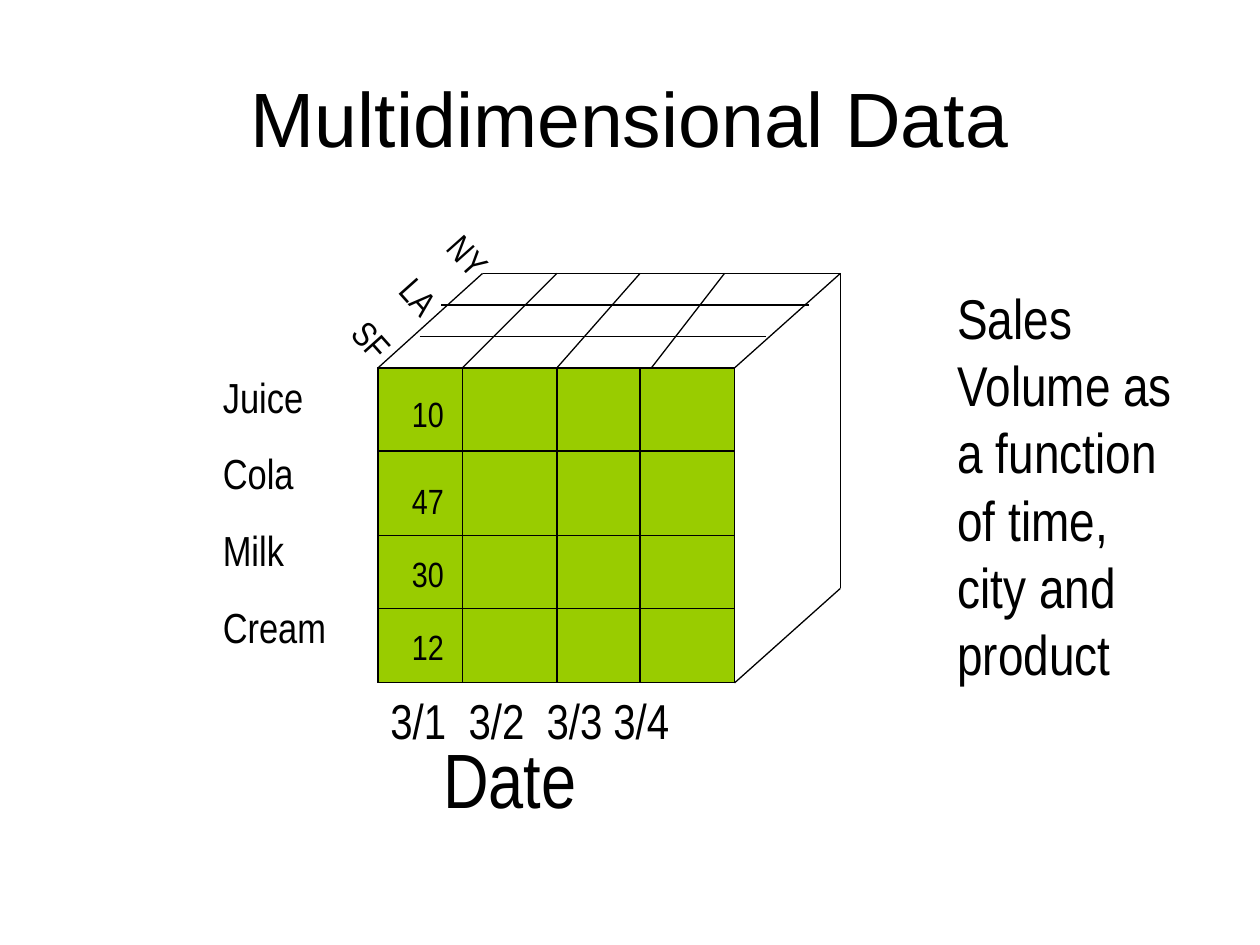
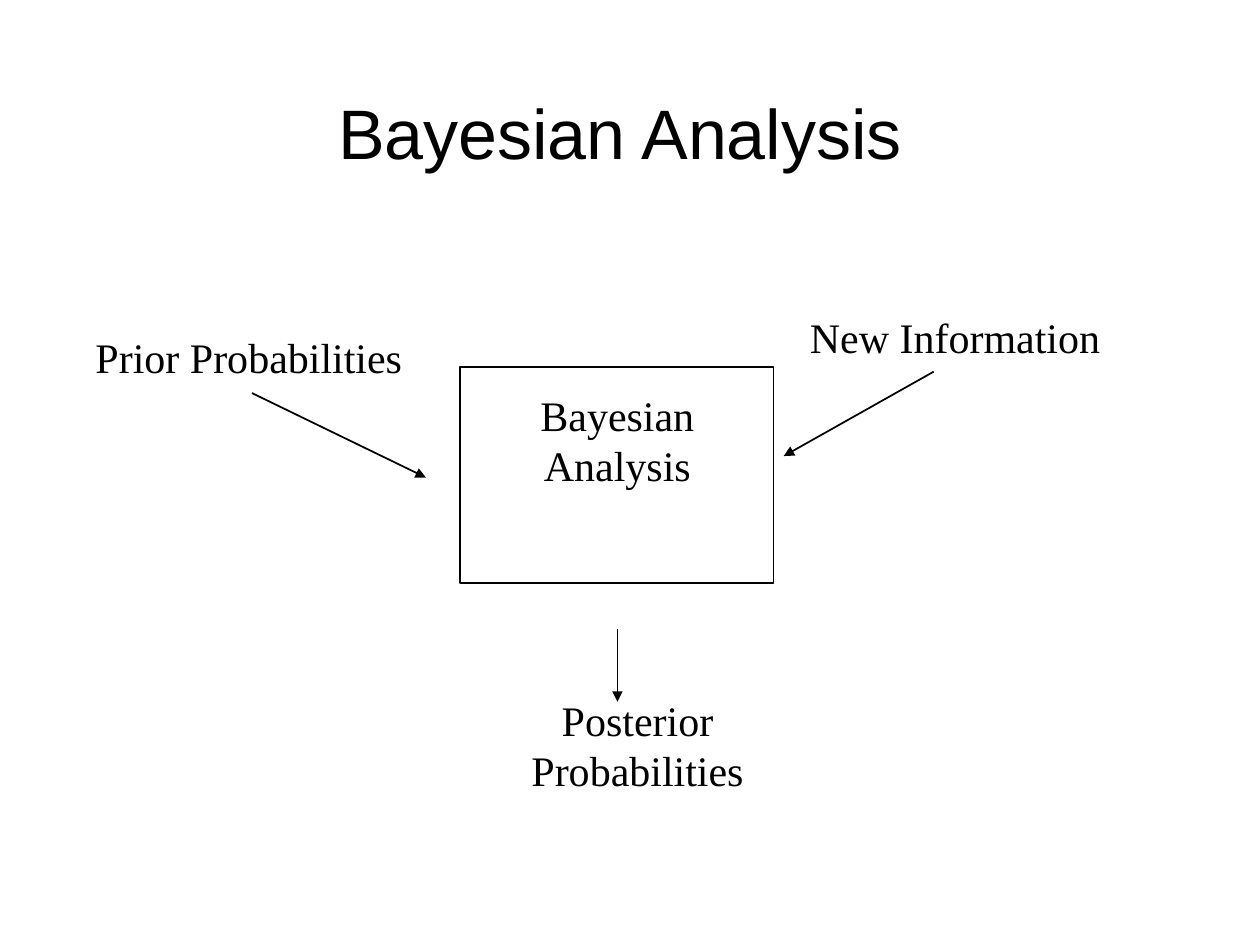
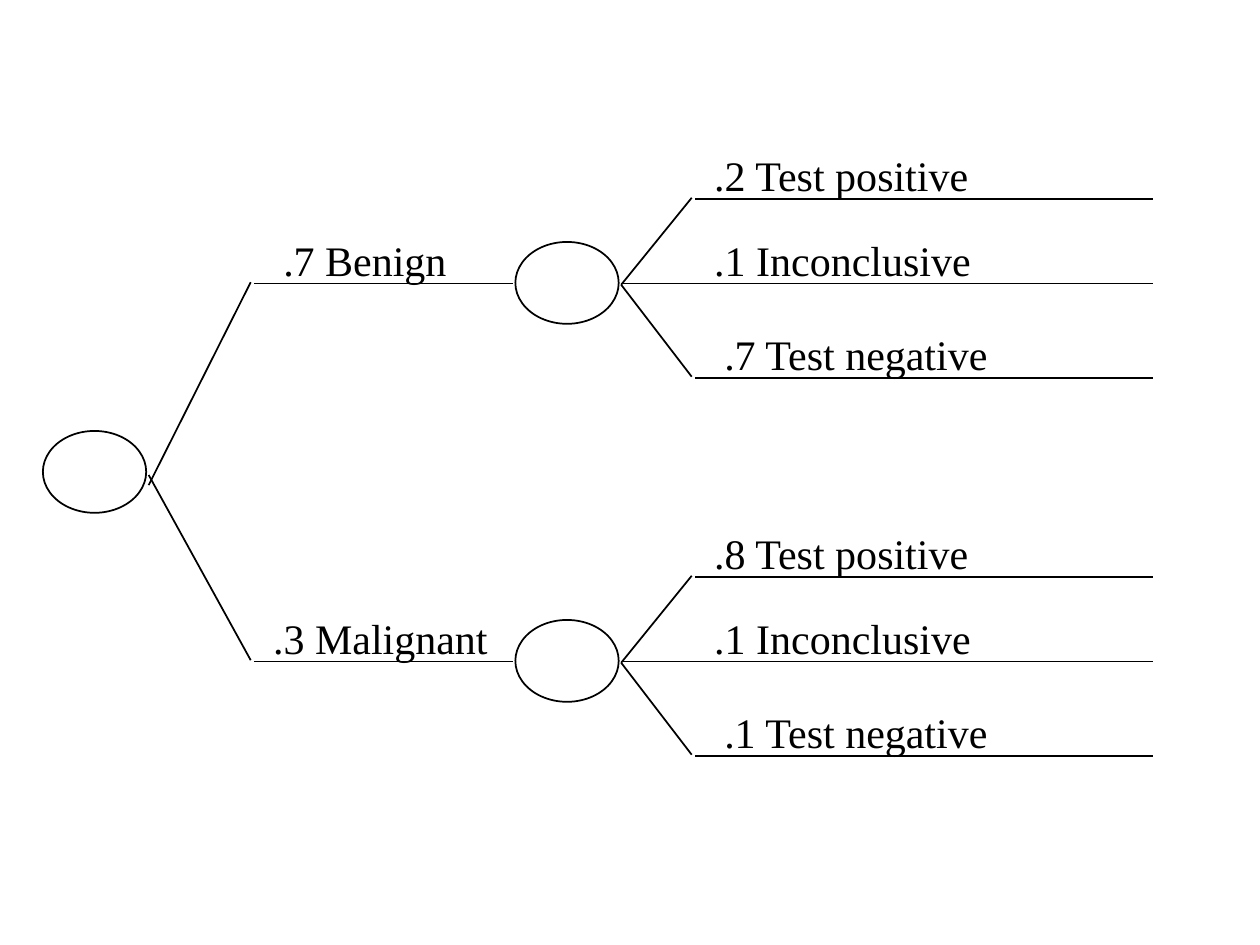
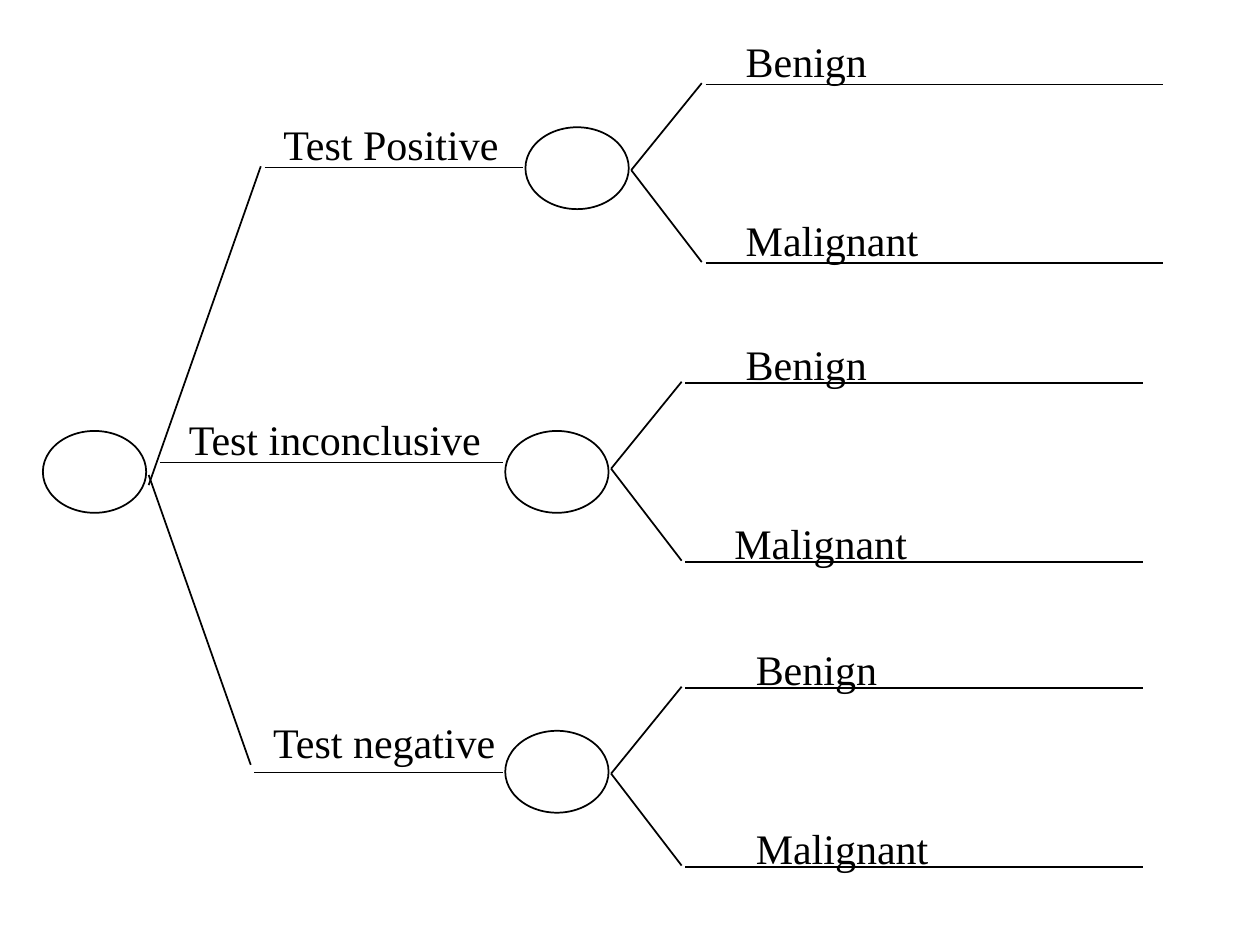
from lxml import etree
from pptx import Presentation
from pptx.dml.color import RGBColor
from pptx.enum.shapes import MSO_CONNECTOR, MSO_SHAPE
from pptx.enum.text import MSO_ANCHOR, MSO_AUTO_SIZE, PP_ALIGN
from pptx.oxml.ns import qn
from pptx.util import Inches, Pt

RECTANGLE = MSO_SHAPE.RECTANGLE
OVAL = MSO_SHAPE.OVAL
STRAIGHT = MSO_CONNECTOR.STRAIGHT
TOP, MIDDLE, BOTTOM = MSO_ANCHOR.TOP, MSO_ANCHOR.MIDDLE, MSO_ANCHOR.BOTTOM
LEFT, CENTER = PP_ALIGN.LEFT, PP_ALIGN.CENTER
GROW, FIXED = MSO_AUTO_SIZE.SHAPE_TO_FIT_TEXT, MSO_AUTO_SIZE.NONE

BLACK = "000000"
GREEN = "99CC00"
TITLE_FONT, CUBE_FONT, DIAGRAM_FONT = "Arial", "Arial Narrow", "Times New Roman"
CUBE_LINE = 0.75

NODE_SIZE = (0.82, 0.65)
RISE, DROP = -0.67, 0.75
FAN_START, FAN_END, LEAF_START, LEAF_END = 0.84, 1.4, 1.43, 5.06


def color(hex_code):
    """Turn a hex string into a colour."""
    return RGBColor.from_string(hex_code)


def add_text(slide, text, left, top, width, height, size=24, font=DIAGRAM_FONT,
             align=LEFT, anchor=TOP, wrap=False, before=0, fit=GROW,
             rotation=0, tabs=()):
    """Add a text box with one paragraph per line of text."""
    box = slide.shapes.add_textbox(Inches(left), Inches(top), Inches(width), Inches(height))
    box.rotation = rotation
    frame = box.text_frame
    frame.word_wrap = wrap
    frame.auto_size = fit
    frame.vertical_anchor = anchor
    for index, line in enumerate(text.split("\n")):
        paragraph = frame.paragraphs[0] if index == 0 else frame.add_paragraph()
        paragraph.alignment = align
        paragraph.space_before = Pt(before)
        run = paragraph.add_run()
        run.text = line
        run.font.size = Pt(size)
        run.font.name = font
        run.font.color.rgb = color(BLACK)
        if tabs:
            add_tab_stops(paragraph, tabs)


def add_tab_stops(paragraph, positions):
    """Give a paragraph left tab stops."""
    properties = paragraph._p.get_or_add_pPr()
    stops = etree.SubElement(properties, qn("a:tabLst"))
    for position in positions:
        etree.SubElement(stops, qn("a:tab"), pos=str(Inches(position)), algn="l")


def add_title(slide, text, left, top, width, size):
    """Add a centred slide title."""
    add_text(slide, text, left, top, width, 1.25, size=size, font=TITLE_FONT,
             align=CENTER, anchor=MIDDLE, wrap=True, fit=FIXED)


def add_cube_text(slide, text, left, top, width, height, size, **options):
    """Add a bottom-anchored label of the data cube."""
    add_text(slide, text, left, top, width, height, size=size, font=CUBE_FONT,
             anchor=BOTTOM, wrap=True, before=size * 0.625, **options)


def add_outline(slide, kind, left, top, width, height, weight=1, fill=None):
    """Add a preset shape with a black outline."""
    shape = slide.shapes.add_shape(kind, Inches(left), Inches(top), Inches(width), Inches(height))
    shape.shadow.inherit = False
    if fill:
        shape.fill.solid()
        shape.fill.fore_color.rgb = color(fill)
    else:
        shape.fill.background()
    shape.line.color.rgb = color(BLACK)
    shape.line.width = Pt(weight)


def add_line(slide, start, end, weight=1, arrow=False):
    """Add a straight line, with an arrowhead at its end if wanted."""
    connector = slide.shapes.add_connector(
        STRAIGHT, *(Inches(value) for value in (*start, *end)))
    connector.line.color.rgb = color(BLACK)
    connector.line.width = Pt(weight)
    if arrow:
        etree.SubElement(connector.line._get_or_add_ln(), qn("a:tailEnd"), type="triangle")
    etree.SubElement(connector._element.spPr, qn("a:effectLst"))


def add_node(slide, left, top):
    """Add a chance node of a tree."""
    add_outline(slide, OVAL, left, top, *NODE_SIZE)


def add_stem(slide, text, label_left, label_top, label_width, start, end, y):
    """Add a labelled first-level branch."""
    add_line(slide, (start, y), (end, y))
    add_text(slide, text, label_left, label_top, label_width, 0.5)


def add_fan(slide, left, y, leaves, lift=0.44):
    """Add the (text, label left, label width, offset) leaves that spread from a node."""
    for text, label_left, label_width, offset in leaves:
        leaf_y = y + offset
        leaf_start = left + (LEAF_START if offset else FAN_START)
        if offset:
            add_line(slide, (left + FAN_START, y + 0.01), (left + FAN_END, leaf_y - 0.01))
        add_line(slide, (leaf_start, leaf_y), (left + LEAF_END, leaf_y))
        add_text(slide, text, label_left, leaf_y - lift, label_width, 0.5)


def build_cube(slide):
    """Build the data cube slide."""
    add_title(slide, "Multidimensional Data", 0.5, 0.3, 9, 44)

    left, right, top, bottom = 3, 5.83, 2.92, 5.42
    back_left, back_right, back_top, back_bottom = 3.83, 6.67, 2.17, 4.67
    first_column, second_column, third_column = 3.67, 4.42, 5.08
    first_row, second_row, third_row = 3.58, 4.25, 4.83
    add_outline(slide, RECTANGLE, left, top, right - left, bottom - top, CUBE_LINE, GREEN)
    for x1, y1, x2, y2 in (
        (left, top, second_column, bottom),
        (left, top, right, second_row),
        (first_column, first_row, third_column, third_row),
        (left, first_row, right, third_row),
    ):
        add_outline(slide, RECTANGLE, x1, y1, x2 - x1, y2 - y1, CUBE_LINE)
    lines = [((x, top), (x, bottom)) for x in (first_column, third_column)]
    lines += [
        ((back_left, back_top), (back_right, back_top)),
        ((back_right, back_top), (back_right, back_bottom)),
        ((back_left, back_top), (left, top)),
        ((back_right, back_top), (right, top)),
        ((back_right, back_bottom), (right, bottom)),
    ]
    lines += [((x, top), (back_x, back_top))
              for x, back_x in ((3.67, 4.42), (4.42, 5.08), (5.17, 5.75))]
    lines += [((3.33, 2.67), (6.08, 2.67)), ((3.5, 2.42), (6.42, 2.42))]
    for start, end in lines:
        add_line(slide, start, end, CUBE_LINE)

    for value, value_top in (("10", 3.06), ("47", 3.75), ("30", 4.33), ("12", 4.91)):
        add_cube_text(slide, value, 3.17, value_top, 0.67, 0.44, 20)
    add_cube_text(slide, "Juice\nCola\nMilk\nCream", 1.67, 2.49, 1.17, 2.73, 24)
    add_cube_text(slide, "NY\nLA\nSF", 2.91, 2.03, 1.56, 1.45, 20, rotation=48.2)
    add_cube_text(slide, "Sales Volume as a function of time, city and product",
                  7.5, 1.13, 1.92, 4.37, 32)
    add_cube_text(slide, "3/1\t3/2\t3/3\t3/4", 3, 4.96, 2.75, 1.04, 28,
                  tabs=(0.62, 1.24, 1.77))
    add_cube_text(slide, "Date", 3.42, 5.75, 1.92, 0.84, 44)


def build_bayes(slide):
    """Build the Bayesian analysis flow slide."""
    add_title(slide, "Bayesian Analysis", 0.67, 0.42, 8.5, 40)
    add_outline(slide, RECTANGLE, 3.65, 2.91, 2.49, 1.72)
    for text, *place in (
        ("Bayesian\nAnalysis", 4.17, 3.04, 1.46, 0.9),
        ("New Information", 6.31, 2.42, 2.54, 0.5),
        ("Prior Probabilities", 0.64, 2.58, 2.67, 0.5),
        ("Posterior\nProbabilities", 4.1, 5.46, 1.92, 0.9),
    ):
        add_text(slide, text, *place, align=CENTER)
    for start, end in (
        ((7.41, 2.95), (6.22, 3.62)),
        ((2, 3.12), (3.38, 3.79)),
        ((4.9, 4.99), (4.9, 5.57)),
    ):
        add_line(slide, start, end, arrow=True)


def build_prior_tree(slide):
    """Build the tree from diagnosis to test result."""
    add_node(slide, 0.34, 3.42)
    add_line(slide, (1.18, 3.85), (1.99, 2.24))
    add_line(slide, (1.18, 3.77), (1.99, 5.24))
    for text, label_left, label_width, y, chances in (
        (".7 Benign", 2.15, 1.53, 2.25, (".2", ".1", ".7")),
        (".3 Malignant", 2.07, 1.94, 5.25, (".8", ".1", ".1")),
    ):
        positive, inconclusive, negative = chances
        add_node(slide, 4.09, y - 0.33)
        add_stem(slide, text, label_left, y - 0.44, label_width, 2.02, 4.07, y)
        add_fan(slide, 4.09, y, (
            (f"{positive} Test positive", 5.57, 2.28, RISE),
            (f"{inconclusive} Inconclusive", 5.57, 2.28, 0),
            (f"{negative} Test negative", 5.65, 2.36, DROP),
        ))


def build_posterior_tree(slide):
    """Build the tree from test result to diagnosis."""
    add_node(slide, 0.34, 3.42)
    add_line(slide, (1.18, 3.85), (2.07, 1.32))
    add_line(slide, (1.18, 3.77), (1.99, 6.07))
    add_stem(slide, "Test Positive", 2.15, 0.89, 1.97, 2.1, 4.15, 1.33)
    add_stem(slide, "Test inconclusive", 1.4, 3.23, 2.58, 1.27, 3.99, 3.67)
    add_stem(slide, "Test negative", 2.07, 5.64, 2.02, 2.02, 3.99, 6.13)
    for left, top, y, benign_left, malignant_left, lift in (
        (4.17, 1.01, 1.34, 5.82, 5.82, 0.44),
        (4.01, 3.42, 3.71, 5.82, 5.73, 0.4),
        (4.01, 5.8, 6.13, 5.9, 5.9, 0.4),
    ):
        add_node(slide, left, top)
        add_fan(slide, left, y, (("Benign", benign_left, 1.2, RISE),
                                 ("Malignant", malignant_left, 1.61, DROP)), lift)


def main():
    """Build and save the four slides."""
    presentation = Presentation()
    presentation.slide_width = Inches(10)
    presentation.slide_height = Inches(7.5)
    for build in (build_cube, build_bayes, build_prior_tree, build_posterior_tree):
        build(presentation.slides.add_slide(presentation.slide_layouts[6]))
    presentation.save("out.pptx")


if __name__ == "__main__":
    main()
